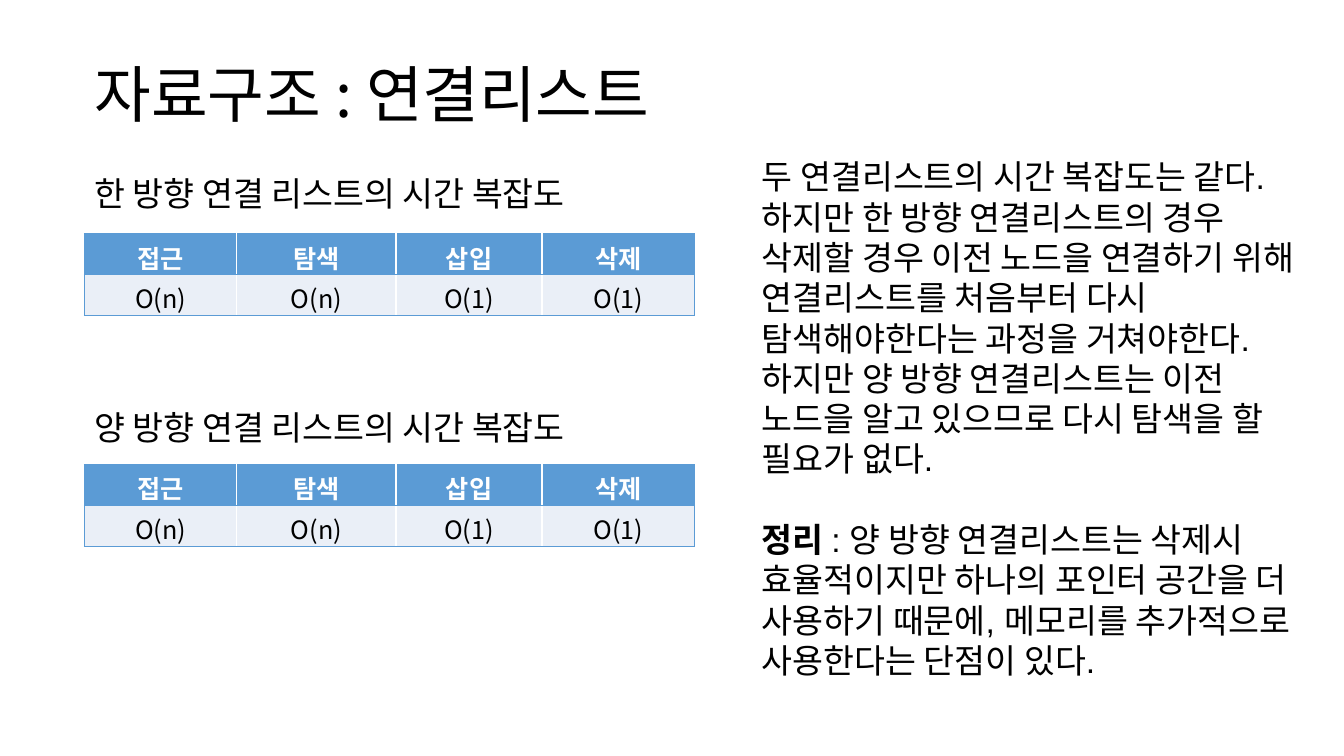
from lxml import etree
from pptx import Presentation
from pptx import util as u
from pptx.dml.color import RGBColor
from pptx.enum import text
from pptx.oxml import ns

BLACK = RGBColor(0x00, 0x00, 0x00)
WHITE = RGBColor(0xFF, 0xFF, 0xFF)
BLUE = RGBColor(0x5B, 0x9B, 0xD5)
PALE_BLUE = RGBColor(0xEA, 0xEF, 0xF7)

KOREAN = "Noto Sans CJK KR"
LATIN = "Arial"
LEFT = 2.13

OPERATIONS = ["접근", "탐색", "삽입", "삭제"]
COSTS = ["O(n)", "O(n)", "O(1)", "O(1)"]
COLUMN_WIDTHS = [3.84, 4.01, 3.68, 3.84]
ROW_HEIGHT = 1.03


class ComplexitySlide:
    """Holds the text style and the slide being filled."""

    def __init__(self, slide):
        self.slide = slide

    def run(self, paragraph, words, size, face, color=BLACK, bold=False):
        run = paragraph.add_run()
        run.text = words
        run.font.size = u.Pt(size)
        run.font.bold = bold
        run.font.color.rgb = color
        run.font.name = face
        east_asian = etree.SubElement(run.font._element, ns.qn("a:ea"))
        east_asian.set("typeface", KOREAN)

    def text_box(self, left, top, width, height, paragraphs, size=24,
                 face=LATIN, anchor=text.MSO_ANCHOR.TOP, line_spacing=None):
        """Each paragraph is (space before, [(words, bold), ...])."""
        box = self.slide.shapes.add_textbox(
            u.Cm(left), u.Cm(top), u.Cm(width), u.Cm(height))
        frame = box.text_frame
        frame.word_wrap = True
        frame.vertical_anchor = anchor
        for index, (gap, runs) in enumerate(paragraphs):
            paragraph = frame.add_paragraph() if index else frame.paragraphs[0]
            if gap:
                paragraph.space_before = u.Pt(gap)
            if line_spacing:
                paragraph.line_spacing = line_spacing
            for words, bold in runs:
                self.run(paragraph, words, size, face, bold=bold)

    def border(self, cell, sides):
        properties = cell._tc.get_or_add_tcPr()
        for position, side in enumerate(sides):
            line = etree.Element(ns.qn(f"a:ln{side}"), w=str(u.Pt(1)))
            fill = etree.SubElement(line, ns.qn("a:solidFill"))
            etree.SubElement(fill, ns.qn("a:srgbClr"), val=str(BLUE))
            properties.insert(position, line)

    def table(self, top):
        rows = [(OPERATIONS, BLUE, WHITE, True),
                (COSTS, PALE_BLUE, BLACK, False)]
        last = len(OPERATIONS) - 1
        table = self.slide.shapes.add_table(
            len(rows), len(OPERATIONS), u.Cm(LEFT), u.Cm(top),
            u.Cm(sum(COLUMN_WIDTHS)), u.Cm(ROW_HEIGHT * len(rows))).table
        for column, width in zip(table.columns, COLUMN_WIDTHS):
            column.width = u.Cm(width)
        for r, (labels, fill, color, bold) in enumerate(rows):
            table.rows[r].height = u.Cm(ROW_HEIGHT)
            for c, label in enumerate(labels):
                cell = table.cell(r, c)
                cell.fill.solid()
                cell.fill.fore_color.rgb = fill
                paragraph = cell.text_frame.paragraphs[0]
                paragraph.alignment = text.PP_ALIGN.CENTER
                self.run(paragraph, label, 18, KOREAN, color, bold)
                edges = {"L": c == 0, "R": c == last, "T": True, "B": True}
                self.border(cell, [side for side in edges if edges[side]])


def main():
    deck = Presentation()
    deck.slide_width, deck.slide_height = u.Cm(33.87), u.Cm(19.05)
    page = ComplexitySlide(deck.slides.add_slide(deck.slide_layouts[6]))

    # Title
    page.text_box(LEFT, 0.61, 29.21, 3.68,
                  [(0, [("자료구조 : 연결리스트", False)])], size=44,
                  face=KOREAN, anchor=text.MSO_ANCHOR.MIDDLE, line_spacing=0.9)

    # Time complexity of each kind of list
    for direction, heading_top, table_top in [("한", 4.22, 5.89),
                                              ("양", 10.13, 11.71)]:
        heading = f"{direction} 방향 연결 리스트의 시간 복잡도"
        page.text_box(LEFT, heading_top, 25.1, 2.31, [(0, [(heading, False)])])
        page.table(table_top)

    # Comparison and summary
    page.text_box(18.95, 3.81, 13.92, 14.63, [
        (0, [("두 연결리스트의 시간 복잡도는 같다.", False)]),
        (0, [("하지만 한 방향 연결리스트의 경우 삭제할 경우 이전 노드을 "
              "연결하기 위해 연결리스트를 처음부터 다시 탐색해야한다는 "
              "과정을 거쳐야한다.", False)]),
        (0, [("하지만 양 방향 연결리스트는 이전 노드을 알고 있으므로 "
              "다시 탐색을 할 필요가 없다.", False)]),
        (28.8, [("정리 ", True),
                (": 양 방향 연결리스트는 삭제시 효율적이지만 하나의 포인터 "
                 "공간을 더 사용하기 때문에, 메모리를 추가적으로 사용한다는 "
                 "단점이 있다.", False)]),
    ])

    deck.save("out.pptx")


if __name__ == "__main__":
    main()
